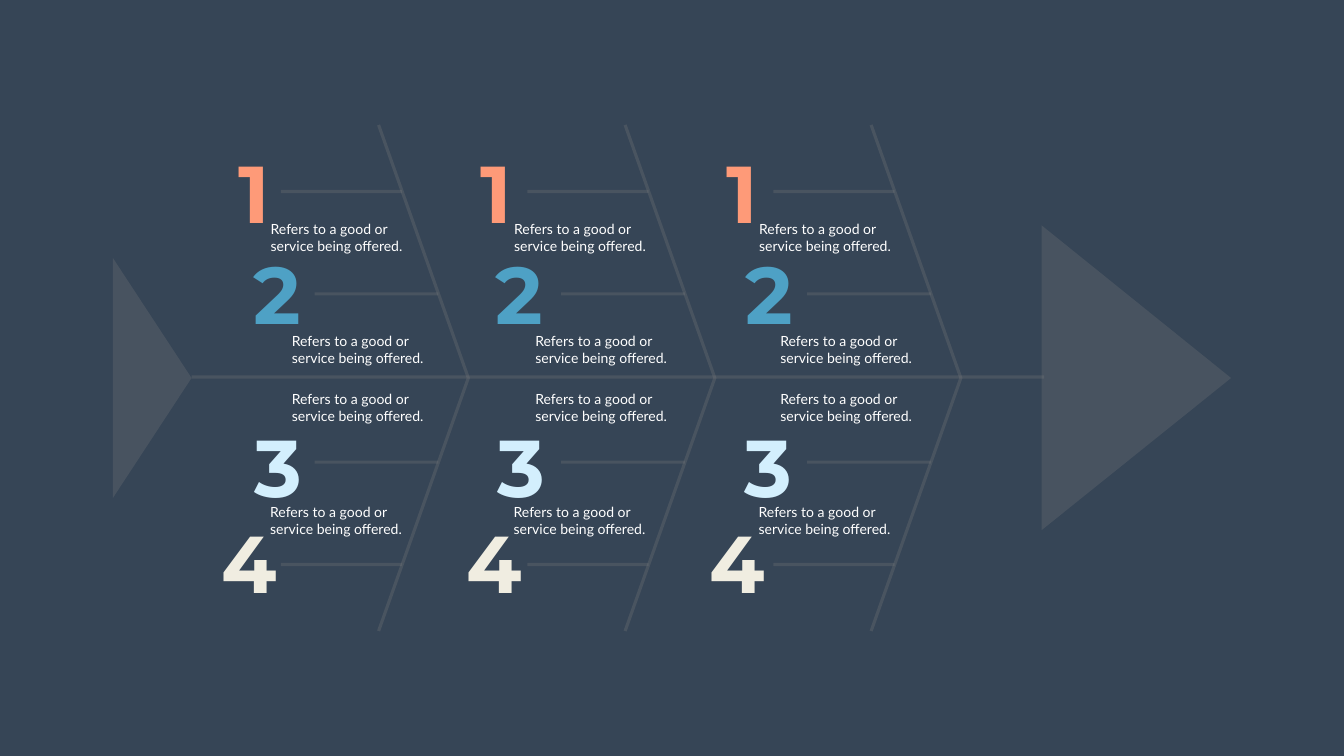
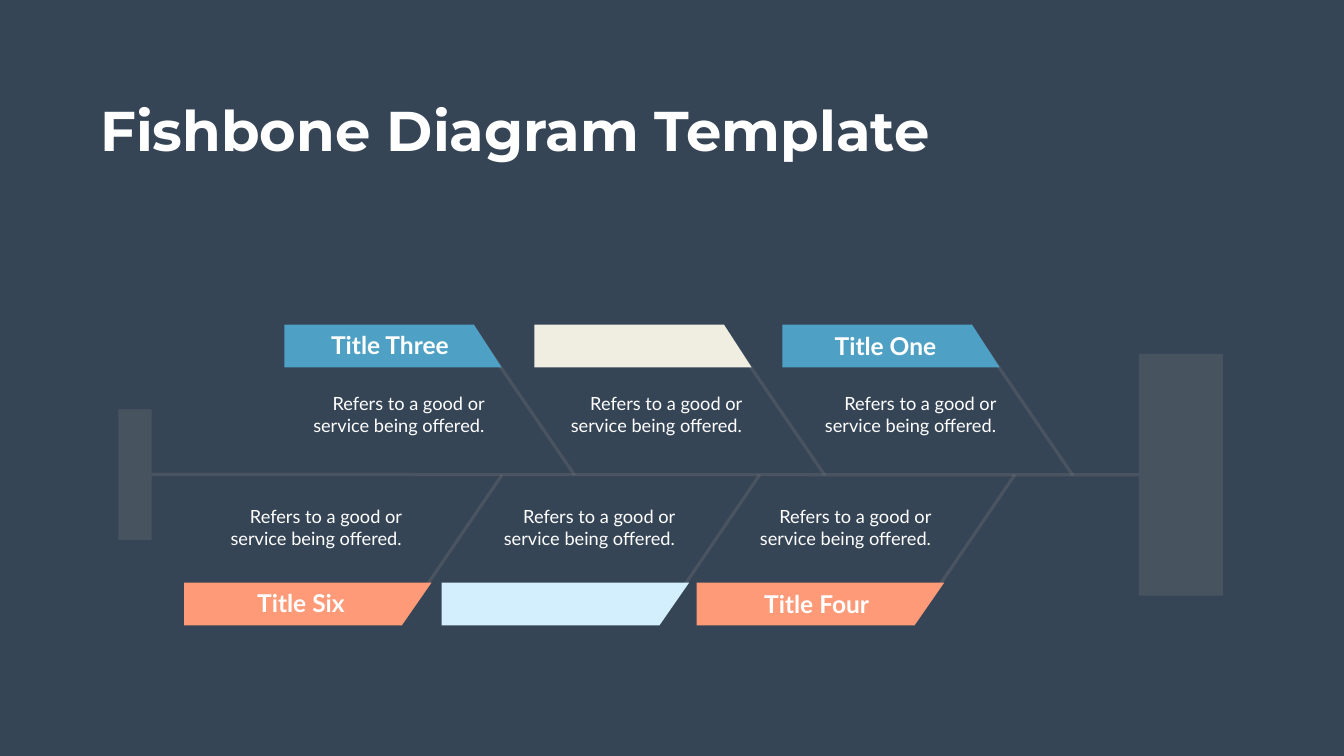
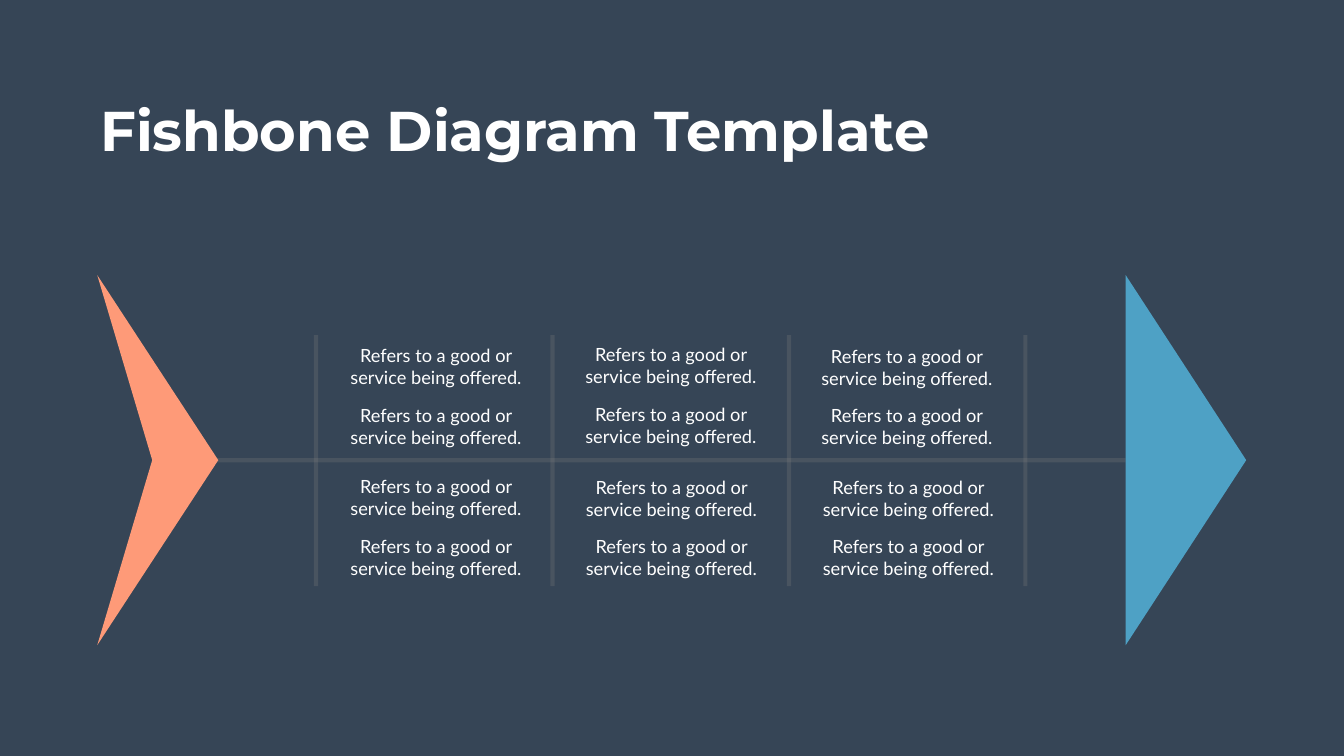
from lxml.etree import SubElement
from pptx import Presentation
from pptx.dml.color import RGBColor
from pptx.enum.shapes import MSO_CONNECTOR, MSO_SHAPE
from pptx.enum.text import MSO_AUTO_SIZE, PP_ALIGN
from pptx.oxml.ns import qn
from pptx.util import Inches, Pt

NAVY = RGBColor(0x36, 0x45, 0x56)
GREY = RGBColor(0x80, 0x80, 0x80)
WHITE = RGBColor(0xFF, 0xFF, 0xFF)
CORAL = RGBColor(0xFE, 0x9A, 0x78)
BLUE = RGBColor(0x4E, 0xA1, 0xC5)
ICE = RGBColor(0xD3, 0xEF, 0xFD)
CREAM = RGBColor(0xF0, 0xED, 0xE1)

HEADING_FONT = "Montserrat"
BODY_FONT = "Lato"
BODY = "Refers to a good or service being offered."
BONE_WIDTH = 4.5


def add_slide(presentation):
    slide = presentation.slides.add_slide(presentation.slide_layouts[6])
    slide.background.fill.solid()
    slide.background.fill.fore_color.rgb = NAVY
    return slide


def make_translucent(shape):
    """Show every colour of the shape at 25 % opacity."""
    for colour in shape.element.iter(qn("a:srgbClr")):
        SubElement(colour, qn("a:alpha"), val="25000")


def style_bone(line, width):
    line.color.rgb = GREY
    line.width = Pt(width)


def add_bone(slide, start, end, width=BONE_WIDTH):
    connector = slide.shapes.add_connector(
        MSO_CONNECTOR.STRAIGHT, *(Inches(value) for value in (*start, *end)))
    style_bone(connector.line, width)
    SubElement(connector.element.spPr, qn("a:effectLst"))
    make_translucent(connector)
    return connector


def fill_shape(shape, colour):
    """Fill without outline; grey parts are translucent."""
    shape.shadow.inherit = False
    shape.fill.solid()
    shape.fill.fore_color.rgb = colour
    shape.line.fill.background()
    if colour == GREY:
        make_translucent(shape)


def draw_path(slide, points, close):
    corners = [(Inches(x), Inches(y)) for x, y in points]
    builder = slide.shapes.build_freeform(*corners[0], scale=1.0)
    builder.add_line_segments(corners[1:], close=close)
    return builder.convert_to_shape()


def add_polygon(slide, points, colour):
    fill_shape(draw_path(slide, points, True), colour)


def add_rib(slide, points):
    rib = draw_path(slide, points, False)
    rib.shadow.inherit = False
    rib.fill.background()
    style_bone(rib.line, BONE_WIDTH)
    make_translucent(rib)


def add_block(slide, left, top, width, height):
    block = slide.shapes.add_shape(
        MSO_SHAPE.RECTANGLE, Inches(left), Inches(top), Inches(width), Inches(height))
    fill_shape(block, GREY)
    return block


def add_text(slide, text, left, top, width, height, size=26, font=BODY_FONT,
             colour=WHITE, bold=False, align=PP_ALIGN.LEFT, wrap=True):
    box = slide.shapes.add_textbox(
        Inches(left), Inches(top), Inches(width), Inches(height))
    frame = box.text_frame
    frame.word_wrap = wrap
    frame.auto_size = MSO_AUTO_SIZE.SHAPE_TO_FIT_TEXT
    paragraph = frame.paragraphs[0]
    paragraph.text = text
    paragraph.alignment = align
    paragraph.font.size = Pt(size)
    paragraph.font.name = font
    paragraph.font.bold = bold
    paragraph.font.color.rgb = colour


def add_title(slide):
    add_text(slide, "Fishbone Diagram Template", 1.89, 1.85, 16.71, 1.45,
             size=80, font=HEADING_FONT, bold=True, wrap=False)


def build_numbered_fish(presentation):
    slide = add_slide(presentation)
    middle, rib_rise, rib_run = 7.5, 5.02, 1.78
    rib_tips = (9.29, 14.18, 19.06)
    text_lefts = (5.27, 10.1, 14.96)
    # number, colour, number lefts, number top, number width, bone y, bone reach,
    # text indent, text top
    levels = (
        ("1", CORAL, (4.63, 9.44, 14.31), 2.79, 0.82, 3.8, 3.72, 0, 4.33),
        ("2", BLUE, (4.92, 9.73, 14.68), 4.8, 1.16, 5.83, 3.05, 0.42, 6.55),
        ("3", ICE, (4.96, 9.77, 14.67), 8.22, 1.14, 9.17, 3.05, 0.42, 7.7),
        ("4", CREAM, (4.3, 9.15, 13.97), 10.13, 1.3, 11.2, 3.72, -0.01, 9.95),
    )

    add_bone(slide, (20.71, 7.48), (3.8, 7.48))
    add_polygon(slide, ((20.66, 4.47), (24.42, middle), (20.66, 10.52)), GREY)
    add_polygon(slide, ((2.24, 5.12), (2.24, 9.88), (3.8, middle)), GREY)
    for column, tip in enumerate(rib_tips):
        add_rib(slide, ((tip - rib_run, middle - rib_rise), (tip, middle),
                        (tip - rib_run, middle + rib_rise)))
        for (number, colour, number_lefts, number_top, number_width,
             bone_y, reach, indent, text_top) in levels:
            rib_x = tip - rib_run * abs(bone_y - middle) / rib_rise
            add_bone(slide, (rib_x, bone_y), (tip - reach, bone_y))
            add_text(slide, number, number_lefts[column], number_top, number_width, 2.04,
                     size=115, font=HEADING_FONT, colour=colour, bold=True,
                     align=PP_ALIGN.CENTER, wrap=False)
            add_text(slide, BODY, text_lefts[column] + indent, text_top, 2.89, 0.77, size=20)


def add_branch(slide, colour, left, text_left, upper):
    """A rib with its slanted tab and its description."""
    if upper:
        top, text_top = 6.44, 7.74
        top_width, bottom_width = 3.76, 4.31
        rib_start, rib_end = (left + 5.76, 9.43), (left + 3.72, 6.45)
    else:
        top, text_top = 11.56, 9.98
        top_width, bottom_width = 4.91, 4.32
        rib_start, rib_end = (left + 4.28, 12.4), (left + 6.31, 9.42)
    bottom = top + 0.85
    add_bone(slide, rib_start, rib_end)
    add_polygon(slide, ((left, top), (left + top_width, top),
                        (left + bottom_width, bottom), (left, bottom)), colour)
    add_text(slide, BODY, text_left, text_top, 3.94, 0.98, align=PP_ALIGN.RIGHT)


def build_titled_fish(presentation):
    slide = add_slide(presentation)
    # colour, tab left, text left
    upper_branches = ((BLUE, 5.64, 5.77), (CREAM, 10.6, 10.88), (BLUE, 15.52, 15.92))
    lower_branches = ((CORAL, 3.65, 4.13), (ICE, 8.76, 9.55), (CORAL, 13.82, 14.63))
    tab_titles = (
        ("Title Three", 6.44, 6.5, 2.59),
        ("Title One", 16.44, 6.52, 2.25),
        ("Title Six", 4.98, 11.61, 1.98),
        ("Title Four", 15.04, 11.63, 2.32),
    )

    tail = add_block(slide, 2.35, 8.12, 0.66, 2.59)
    head = add_block(slide, 22.59, 7.02, 1.67, 4.8)
    spine = add_bone(slide, (3.01, 9.42), (22.59, 9.42))
    spine.begin_connect(tail, 3)
    spine.end_connect(head, 1)
    for branch in upper_branches:
        add_branch(slide, *branch, upper=True)
    for branch in lower_branches:
        add_branch(slide, *branch, upper=False)
    for title, left, top, width in tab_titles:
        add_text(slide, title, left, top, width, 0.69,
                 size=35, bold=True, align=PP_ALIGN.CENTER)
    add_title(slide)


def build_grid_fish(presentation):
    slide = add_slide(presentation)
    middle, top, bottom = 9.13, 5.46, 12.8
    # left and top of the first text in each pair, above and below the spine
    text_pairs = (
        (6.68, 6.79), (11.34, 6.77), (16.02, 6.8),
        (6.68, 9.39), (11.35, 9.4), (16.05, 9.4),
    )

    add_bone(slide, (4.27, middle), (22.33, middle), width=6)
    for index in range(4):
        rib_x = 6.27 + 4.69 * index
        add_bone(slide, (rib_x, 6.65), (rib_x, 11.63), width=6)
    add_polygon(slide, ((22.33, top), (22.33, bottom), (24.72, middle)), BLUE)
    add_polygon(slide, ((1.93, top), (3.02, middle), (1.93, bottom), (4.33, middle)), CORAL)
    for left, pair_top in text_pairs:
        for text_top in (pair_top, pair_top + 1.18):
            add_text(slide, BODY, left, text_top, 3.94, 0.98, align=PP_ALIGN.CENTER)
    add_title(slide)


def main():
    presentation = Presentation()
    presentation.slide_width = Inches(26.66)
    presentation.slide_height = Inches(15)
    build_numbered_fish(presentation)
    build_titled_fish(presentation)
    build_grid_fish(presentation)
    presentation.save("out.pptx")


if __name__ == "__main__":
    main()
